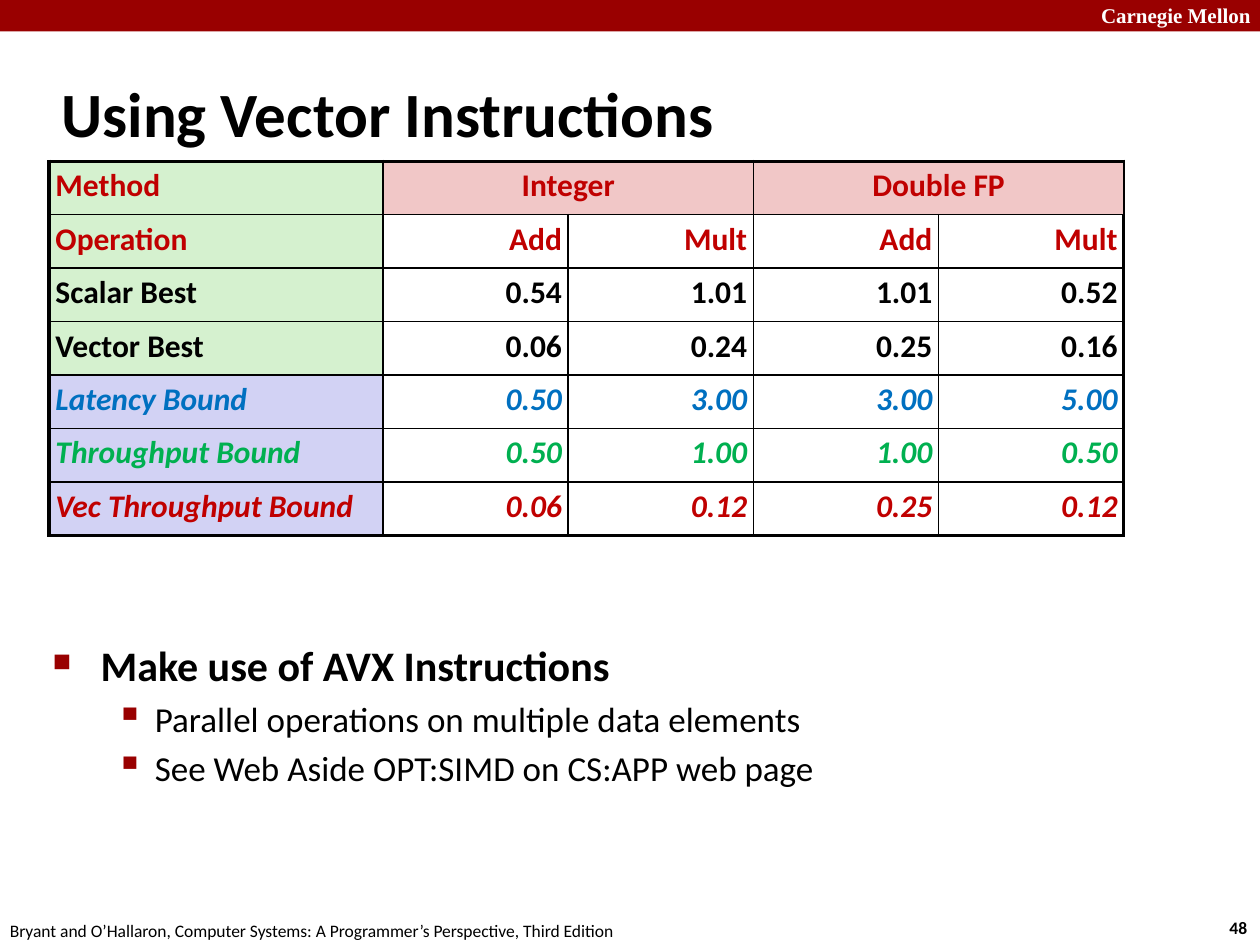
from lxml.etree import SubElement
from pptx import Presentation
from pptx.dml.color import RGBColor
from pptx.enum.shapes import MSO_SHAPE
from pptx.enum.text import MSO_ANCHOR, PP_ALIGN
from pptx.oxml import parse_xml
from pptx.oxml.ns import nsdecls, qn
from pptx.util import Inches, Pt

BLACK, WHITE, MAROON, RED = "000000", "FFFFFF", "990000", "C00000"
GREEN, BLUE = "00B050", "0070C0"
MINT, ROSE, LAVENDER = "D5F1CF", "F1C7C7", "D2D2F4"


def rgb(value):
    return RGBColor.from_string(value)


def apply(target, **values):
    for key, value in values.items():
        setattr(target, key, value)


class SlideBuilder:
    """Hold the slide style and draw each kind of element."""

    def __init__(self, slide, typeface="Calibri"):
        self.slide = slide
        self.typeface = typeface

    def style(self, font, size, color=BLACK, **values):
        values = {"name": self.typeface, "size": Pt(size), **values}
        apply(font, **values)
        font.color.rgb = rgb(color)

    def bar(self, left, top, width, height, color):
        bar = self.slide.shapes.add_shape(
            MSO_SHAPE.RECTANGLE, *map(Inches, (left, top, width, height)))
        bar.shadow.inherit = False
        bar.fill.solid()
        bar.fill.fore_color.rgb = rgb(color)
        bar.line.fill.background()

    def frame(self, box, wrap=True, anchor=MSO_ANCHOR.TOP):
        frame = self.slide.shapes.add_textbox(*map(Inches, box)).text_frame
        apply(frame, word_wrap=wrap, vertical_anchor=anchor)
        return frame

    def text(self, content, box, size, wrap=True, anchor=MSO_ANCHOR.TOP, **values):
        paragraph = self.frame(box, wrap, anchor).paragraphs[0]
        run = paragraph.add_run()
        run.text = content
        self.style(run.font, size, **values)

    def bullets(self, items, box, levels):
        frame = self.frame(box)
        for index, (level, content) in enumerate(items):
            paragraph = frame.add_paragraph() if index else frame.paragraphs[0]
            look = levels[level]
            apply(paragraph, level=level, space_before=Pt(4 if index else 0))
            properties = paragraph._p.get_or_add_pPr()
            properties.set("marL", str(Inches(look["margin"])))
            properties.set("indent", str(-Inches(look["hang"])))
            color = SubElement(properties, qn("a:buClr"))
            SubElement(color, qn("a:srgbClr"), val=MAROON)
            SubElement(properties, qn("a:buSzPct"), val=str(look["scale"] * 1000))
            SubElement(properties, qn("a:buChar"), char=look["mark"])
            run = paragraph.add_run()
            run.text = content
            self.style(run.font, look["size"], bold=look["bold"])

    def borders(self, cell, widths):
        properties = cell._tc.get_or_add_tcPr()
        for position, (side, width) in enumerate(zip("LRTB", widths)):
            properties.insert(position, parse_xml(
                f'<a:ln{side} {nsdecls("a")} w="{Pt(width)}"><a:solidFill>'
                f'<a:srgbClr val="{BLACK}"/></a:solidFill></a:ln{side}>'))

    def cell(self, cell, content, fill, align, widths, **values):
        margins = ("margin_left", "margin_right", "margin_top", "margin_bottom")
        apply(cell, **dict.fromkeys(margins, Inches(0.05)))
        if fill:
            cell.fill.solid()
            cell.fill.fore_color.rgb = rgb(fill)
        else:
            cell.fill.background()
        self.borders(cell, widths)
        paragraph = cell.text_frame.paragraphs[0]
        apply(paragraph, alignment=align, line_spacing=0.95)
        if content:
            run = paragraph.add_run()
            run.text = content
            self.style(run.font, 18, bold=True, **values)

    def table(self, rows, box, column_widths, row_height):
        last_row, last_column = len(rows) - 1, len(column_widths) - 1
        table = self.slide.shapes.add_table(
            len(rows), len(column_widths), *map(Inches, box)).table
        apply(table, first_row=False, horz_banding=False)
        for column, width in zip(table.columns, column_widths):
            column.width = Inches(width)
        for r, (label_fill, color, italic, contents) in enumerate(rows):
            table.rows[r].height = Inches(row_height)
            for c, content in enumerate(contents):
                fill = label_fill if c == 0 else ROSE if r == 0 else None
                align = (PP_ALIGN.LEFT if c == 0 else
                         PP_ALIGN.CENTER if r == 0 else PP_ALIGN.RIGHT)
                outer = (c == 0, c == last_column, r == 0, r == last_row)
                widths = [2.25 if edge else 1 for edge in outer]
                self.cell(table.cell(r, c), content, fill, align, widths,
                          color=color, italic=italic)
        for c in (1, 3):
            table.cell(0, c).merge(table.cell(0, c + 1))
            self.borders(table.cell(0, c), ())
        return table


def main():
    presentation = Presentation()
    apply(presentation, slide_width=Inches(10), slide_height=Inches(7.5))
    builder = SlideBuilder(
        presentation.slides.add_slide(presentation.slide_layouts[6]))

    builder.bar(0, 0, 10, 0.25, MAROON)
    builder.text("Carnegie Mellon", (8.64, -0.03, 1.43, 0.3), 12,
                 name="Times New Roman", color=WHITE, bold=True)
    builder.text("48", (9.66, 7.23, 0.37, 0.27), 10, wrap=False, bold=True)
    builder.text("Bryant and O’Hallaron, Computer Systems: "
                 "A Programmer’s Perspective, Third Edition",
                 (-0.02, 7.25, 5.08, 0.27), 10, wrap=False)
    builder.text("Using Vector Instructions", (0.39, 0.48, 8.3, 0.83), 36,
                 anchor=MSO_ANCHOR.MIDDLE, bold=True)

    levels = [
        {"mark": "■", "scale": 60, "margin": 0.38, "hang": 0.38, "size": 24, "bold": True},
        {"mark": "▪", "scale": 110, "margin": 0.81, "hang": 0.31, "size": 20, "bold": False},
    ]
    builder.bullets([
        (0, "Make use of AVX Instructions"),
        (1, "Parallel operations on multiple data elements"),
        (1, "See Web Aside OPT:SIMD on CS:APP web page"),
    ], (0.32, 5.03, 9.09, 2.05), levels)

    benchmarks = [
        (MINT, RED, False, ["Method", "Integer", "", "Double FP", ""]),
        (MINT, RED, False, ["Operation", "Add", "Mult", "Add", "Mult"]),
        (MINT, BLACK, False, ["Scalar Best", "0.54", "1.01", "1.01", "0.52"]),
        (MINT, BLACK, False, ["Vector Best", "0.06", "0.24", "0.25", "0.16"]),
        (LAVENDER, BLUE, True, ["Latency Bound", "0.50", "3.00", "3.00", "5.00"]),
        (LAVENDER, GREEN, True, ["Throughput Bound", "0.50", "1.00", "1.00", "0.50"]),
        (LAVENDER, RED, True, ["Vec Throughput Bound", "0.06", "0.12", "0.25", "0.12"]),
    ]
    builder.table(benchmarks, (0.39, 1.28, 8.53, 2.97), [2.65] + [1.47] * 4, 2.97 / 7)
    presentation.save("out.pptx")


if __name__ == "__main__":
    main()
